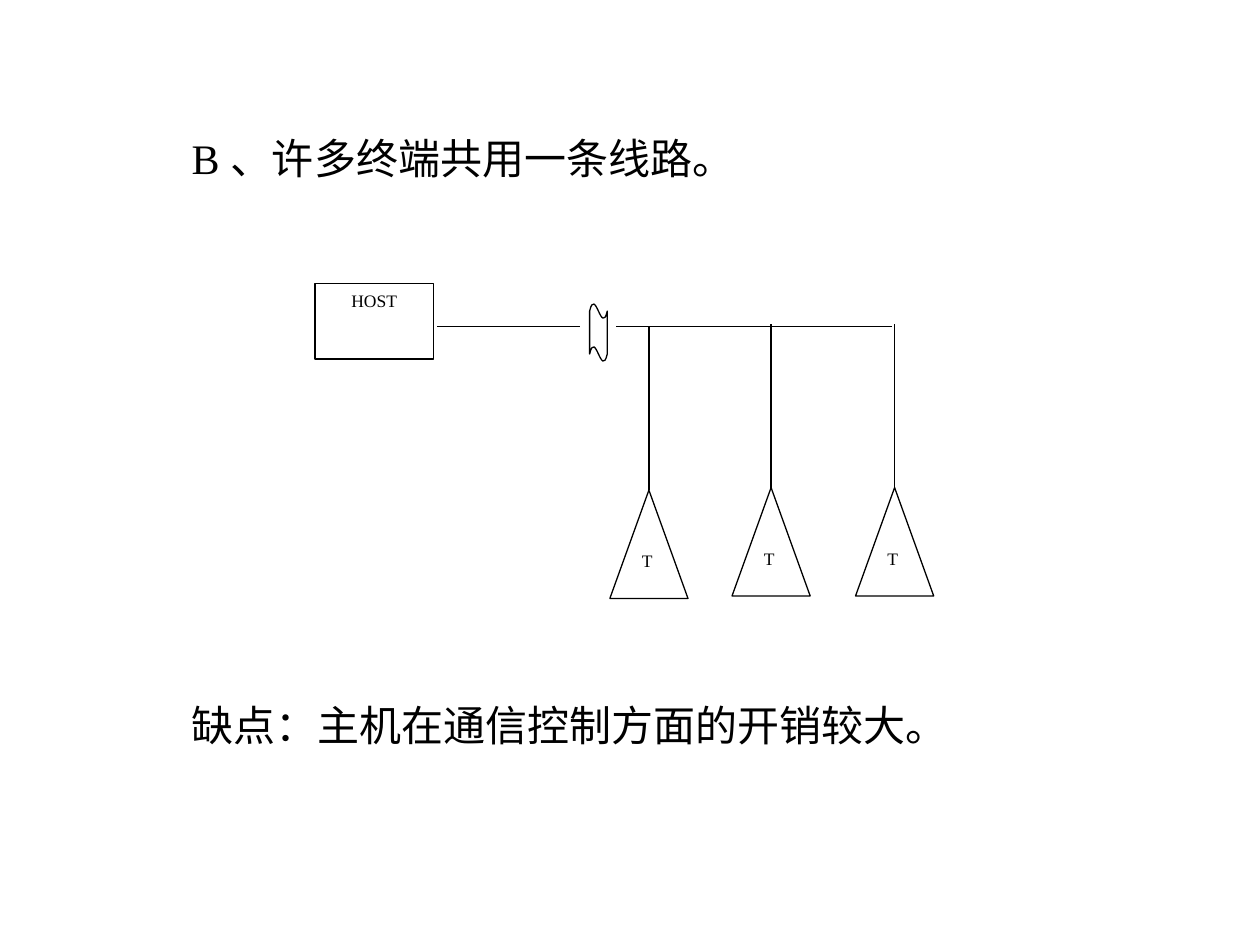
from lxml.etree import SubElement
from pptx import Presentation
from pptx.dml.color import RGBColor
from pptx.enum.shapes import MSO_CONNECTOR, MSO_SHAPE
from pptx.enum.text import MSO_ANCHOR, MSO_AUTO_SIZE, PP_ALIGN
from pptx.oxml.ns import qn
from pptx.util import Inches, Pt

BLACK = RGBColor(0, 0, 0)
WHITE = RGBColor(255, 255, 255)
FONT = "Times New Roman"
COLS, ROWS = 100, 75


class Board:
    def __init__(self, deck):
        self.slide = deck.slides.add_slide(deck.slide_layouts[1])
        self.shapes = self.slide.shapes
        self.col = deck.slide_width / COLS
        self.row = deck.slide_height / ROWS

    def place(self, x, y, w, h):
        return (round(x * self.col), round(y * self.row),
                round(w * self.col), round(h * self.row))

    def label(self, shape, text, size, align):
        frame = shape.text_frame
        frame.text = text
        frame.vertical_anchor = MSO_ANCHOR.TOP
        para = frame.paragraphs[0]
        para.alignment = align
        para.space_before = Pt(0)
        for run in para.runs:
            run.font.size = Pt(size)
            run.font.name = FONT
            run.font.color.rgb = BLACK
        return para

    def note(self, holder, text, x, y, w, h):
        box = self.place(x, y, w, h)
        holder.left, holder.top, holder.width, holder.height = box
        para = self.label(holder, text, 24, PP_ALIGN.LEFT)
        holder.text_frame.word_wrap = True
        holder.text_frame.auto_size = MSO_AUTO_SIZE.SHAPE_TO_FIT_TEXT
        props = para._p.get_or_add_pPr()
        props.set("marL", "0")
        props.set("indent", "0")
        SubElement(props, qn("a:buNone"))

    def node(self, kind, x, y, w, h, text="", align=PP_ALIGN.CENTER):
        shape = self.shapes.add_shape(kind, *self.place(x, y, w, h))
        shape.shadow.inherit = False
        shape.fill.solid()
        shape.fill.fore_color.rgb = WHITE
        self.stroke(shape.line)
        if text:
            self.label(shape, text, 10, align)
        return shape

    def wire(self, x1, y1, x2, y2):
        ends = self.place(x1, y1, x2, y2)
        line = self.shapes.add_connector(MSO_CONNECTOR.STRAIGHT, *ends)
        self.stroke(line.line)
        SubElement(line._element.spPr, qn("a:effectLst"))
        return line

    def stroke(self, line):
        line.color.rgb = BLACK
        line.width = Pt(0.75)


def main():
    deck = Presentation()
    deck.slide_width, deck.slide_height = Inches(10), Inches(7.5)
    board = Board(deck)
    title, body = board.slide.placeholders
    board.note(title, "B 、许多终端共用一条线路。", 14.2, 10, 70, 5)
    board.note(body, "缺点：主机在通信控制方面的开销较大。", 14.2, 55, 70, 5)

    bus = 25.9
    board.node(MSO_SHAPE.RECTANGLE, 25, 22.5, 9.4, 6, "HOST")
    board.wire(34.7, bus, 46, bus)
    board.wire(48.9, bus, 70.8, bus)
    wave = board.node(MSO_SHAPE.WAVE, 46.8, 24.1, 1.4, 4.6)
    wave.adjustments[0] = 0.13
    wave.adjustments[1] = 0

    wide, tall, drop = 6.2, 8.6, 13
    for mid, top in ((51.5, 38.9), (61.2, 38.7), (71, 38.7)):
        term = board.node(MSO_SHAPE.FLOWCHART_EXTRACT, mid - wide / 2, top,
                          wide, tall, "T", PP_ALIGN.JUSTIFY)
        wire = board.wire(mid, top, mid, top - drop)
        wire.begin_connect(term, 0)

    deck.save("out.pptx")


if __name__ == "__main__":
    main()
